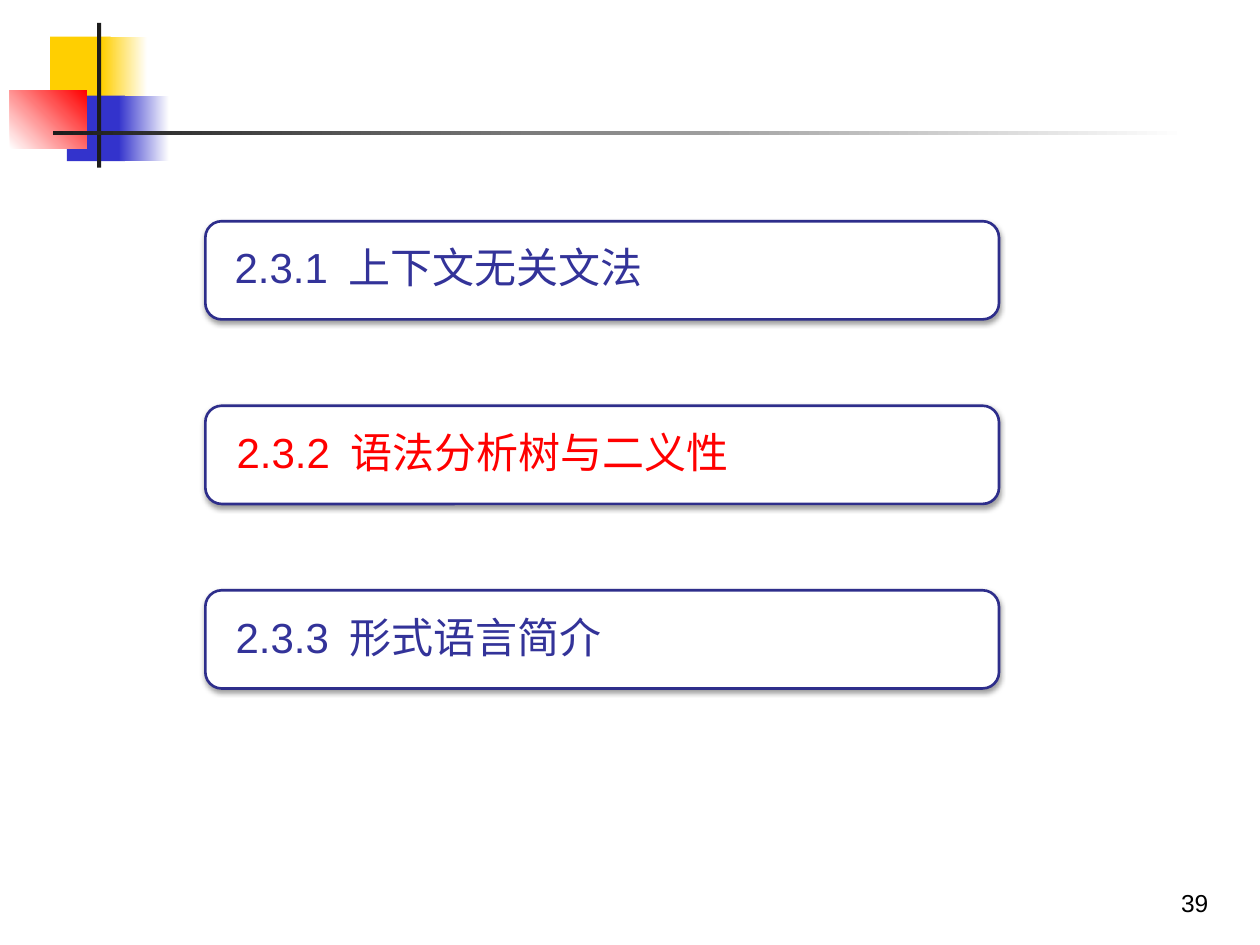
from lxml import etree
from pptx import Presentation
from pptx import util as u
from pptx.dml.color import RGBColor
from pptx.enum import shapes, text
from pptx.oxml import ns


def rgb(value):
    return RGBColor.from_string(value)


def add_child(parent, tag, **attrs):
    return etree.SubElement(parent, ns.qn(tag), attrs)


def add_rect(s, box, colors, angle=0):
    sp = s.shapes.add_shape(shapes.MSO_SHAPE.RECTANGLE, *map(u.Cm, box))
    sp.shadow.inherit = False
    sp.line.fill.background()
    if len(colors) == 1:
        sp.fill.solid()
        sp.fill.fore_color.rgb = rgb(colors[0])
        return
    sp.fill.gradient()
    sp.fill.gradient_angle = angle
    for stop, color in zip(sp.fill.gradient_stops, colors):
        stop.color.rgb = rgb(color)


def add_emblem(s, left, top):
    parts = [
        (0.81, 0.28, 1.22, 1.32, ["FFCF01"], 0),
        (1.85, 0.28, 0.92, 1.32, ["FFCF01", "FFFFFF"], 0),
        (1.15, 1.47, 1.17, 1.32, ["3333CC"], 0),
        (2.19, 1.47, 1.02, 1.32, ["3333CC", "FFFFFF"], 0),
        (0, 1.36, 1.55, 1.18, ["FFFFFF", "FF0000"], 45),
        (1.76, 0, 0.08, 2.92, ["1C1C1C"], 0),
        (0.87, 2.18, 22.86, 0.08, ["1C1C1C", "FFFFFF"], 0),
    ]
    for x, y, w, h, colors, angle in parts:
        add_rect(s, (left + x, top + y, w, h), colors, angle)


def add_shadow(sp):
    effects = add_child(sp._element.spPr, "a:effectLst")
    shadow = add_child(effects, "a:outerShdw", blurRad=str(u.Pt(3.1)),
                       dist=str(u.Pt(1.6)), dir="5400000", rotWithShape="0")
    color = add_child(shadow, "a:srgbClr", val="000000")
    add_child(color, "a:alpha", val="38000")


def add_section(s, box, number, name, color, inset):
    left, top, width, height = box
    group = s.shapes.add_group_shape()
    sp = group.shapes.add_shape(shapes.MSO_SHAPE.ROUNDED_RECTANGLE, *map(u.Cm, box))
    sp.fill.solid()
    sp.fill.fore_color.rgb = rgb("FFFFFF")
    sp.line.color.rgb = rgb("2E2E8B")
    sp.line.width = u.Pt(1.5)
    add_shadow(sp)

    label = group.shapes.add_textbox(u.Cm(left + inset), u.Cm(top + 0.1),
                                     u.Cm(width - 2 * inset), u.Cm(height - 0.2))
    tf = label.text_frame
    tf.word_wrap = True
    tf.vertical_anchor = text.MSO_ANCHOR.MIDDLE
    tf.margin_left = tf.margin_right = u.Cm(0.51)
    tf.margin_top = tf.margin_bottom = 0
    p = tf.paragraphs[0]
    p.text = f"{number}\t{name}"
    p.line_spacing = 0.9
    tabs = add_child(p._p.get_or_add_pPr(), "a:tabLst")
    add_child(tabs, "a:tab", pos=str(u.Cm(2.3)), algn="l")
    p.font.name = "Arial"
    p.font.size = u.Pt(24)
    p.font.color.rgb = rgb(color)


def add_sections(s, left, top, width, height, pitch):
    sections = [
        ("2.3.1", "上下文无关文法", "333399", 0.08),
        ("2.3.2", "语法分析树与二义性", "FF0000", 0.12),
        ("2.3.3", "形式语言简介", "333399", 0.1),
    ]
    for i, section in enumerate(sections):
        add_section(s, (left, top + i * pitch, width, height), *section)


def add_page_number(s, box, number):
    tf = s.shapes.add_textbox(*map(u.Cm, box)).text_frame
    tf.word_wrap = True
    tf.vertical_anchor = text.MSO_ANCHOR.BOTTOM
    p = tf.paragraphs[0]
    p.text = number
    p.alignment = text.PP_ALIGN.RIGHT
    p.font.name = "Arial"
    p.font.size = u.Pt(14)
    p.font.color.rgb = rgb("000000")


def main():
    prs = Presentation()
    prs.slide_width, prs.slide_height = u.Cm(25.4), u.Cm(19.05)
    s = prs.slides.add_slide(prs.slide_layouts[6])
    add_emblem(s, 0.2, 0.46)
    add_page_number(s, (19.33, 17.35, 5.28, 1.27), "39")
    add_sections(s, 4.14, 4.46, 16, 1.98, 3.72)
    prs.save("out.pptx")


if __name__ == "__main__":
    main()
